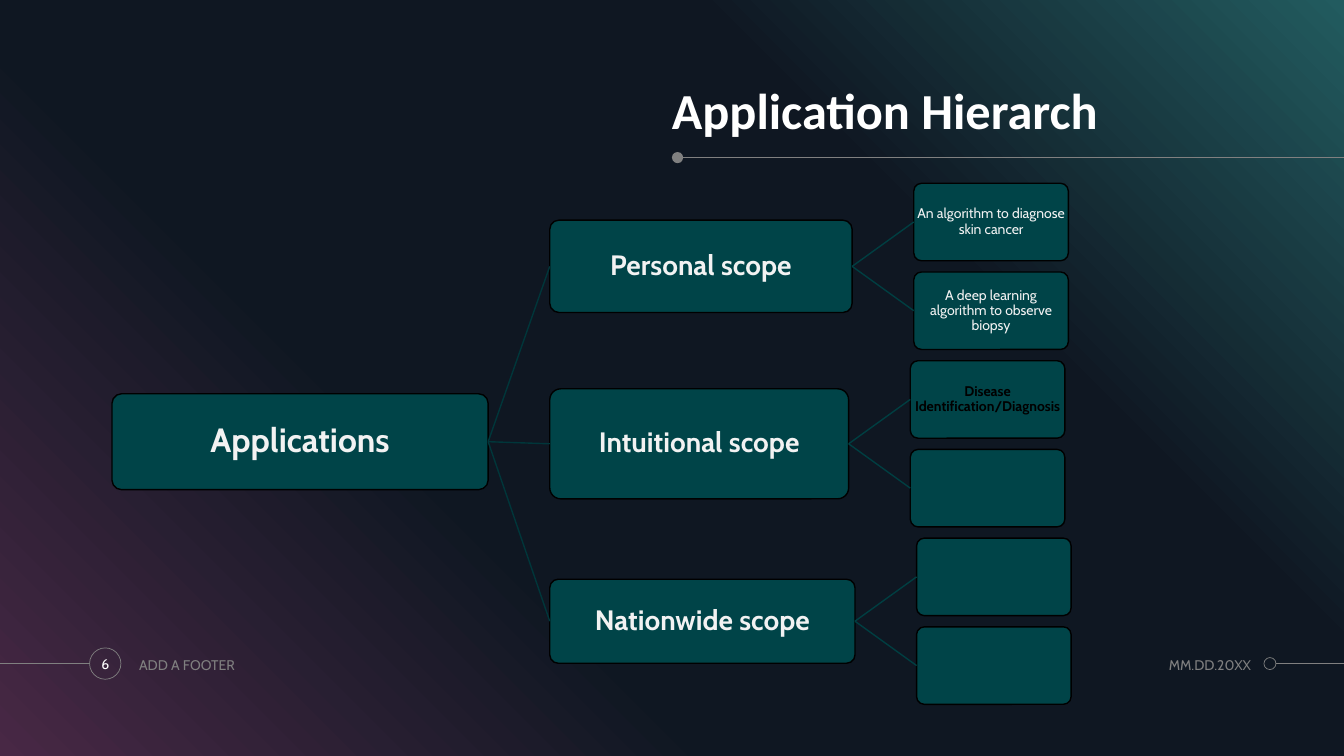
from copy import deepcopy
from dataclasses import dataclass

from pptx import Presentation
from pptx.dml.color import RGBColor
from pptx.enum import shapes, text
from pptx.oxml import parse_xml
from pptx.oxml.ns import nsdecls
from pptx.util import Pt

SLIDE_W, SLIDE_H = 960, 540
TITLE_ONLY = 5


@dataclass(frozen=True)
class Theme:
    heading_font: str = "Calibri"
    body_font: str = "Cabin"
    white: str = "FFFFFF"
    pale: str = "F2F2F2"
    grey: str = "808080"
    black: str = "000000"
    node: str = "004448"
    root_link: str = "00363A"
    leaf_link: str = "003E41"
    backdrop: tuple = ((0, "482845"), (0.34, "0F1722"), (0.69, "0F1722"), (1, "225B5F"))
    title_size: int = 36
    root_size: int = 24
    scope_size: int = 20
    small_size: int = 10


THEME = Theme()
ROOT = "Applications"
# Scope label, box width, box height, and (label, colour, bold) for each leaf
SCOPES = [
    ("Personal scope", 216, 66, [
        ("An algorithm to diagnose skin cancer", THEME.pale, False),
        ("A deep learning algorithm to observe biopsy", THEME.pale, False)]),
    ("Intuitional scope", 213.5, 78.6, [
        ("Disease Identification/Diagnosis", THEME.black, True),
        ("", THEME.pale, False)]),
    ("Nationwide scope", 218, 60, [("", THEME.pale, False), ("", THEME.pale, False)]),
]


def rgb(colour):
    return RGBColor.from_string(colour)


def write(frame, words, size, colour, bold=False, font=THEME.body_font,
          align=text.PP_ALIGN.CENTER, anchor=text.MSO_ANCHOR.MIDDLE, inset=0, spacing=1.0):
    """Put one formatted run into a text frame."""
    frame.word_wrap = True
    frame.vertical_anchor = anchor
    frame.margin_left = frame.margin_right = Pt(inset)
    frame.margin_top = frame.margin_bottom = Pt(inset)
    paragraph = frame.paragraphs[0]
    paragraph.alignment = align
    paragraph.line_spacing = spacing
    run = paragraph.add_run()
    run.text = words
    run.font.name = font
    run.font.size = Pt(size)
    run.font.bold = bold
    run.font.color.rgb = rgb(colour)


def add_box(slide, preset, box, fill=None, line=None, weight=1):
    shape = slide.shapes.add_shape(preset, *map(Pt, box))
    shape.shadow.inherit = False
    if fill:
        shape.fill.solid()
        shape.fill.fore_color.rgb = rgb(fill)
    else:
        shape.fill.background()
    if line:
        shape.line.color.rgb = rgb(line)
        shape.line.width = Pt(weight)
    else:
        shape.line.fill.background()
    return shape


def add_line(slide, colour, weight, start=(0, 0), end=(0, 0)):
    line = slide.shapes.add_connector(shapes.MSO_CONNECTOR.STRAIGHT, *map(Pt, start + end))
    line.line.color.rgb = rgb(colour)
    line.line.width = Pt(weight)
    line._element.spPr.append(parse_xml(f"<a:effectLst {nsdecls('a')}/>"))
    return line


def link(slide, parent, child, colour):
    """Join a parent's right side to a child's left side."""
    line = add_line(slide, colour, 1)
    line.begin_connect(parent, 3)
    line.end_connect(child, 1)


def add_backdrop(slide, box):
    backdrop = add_box(slide, shapes.MSO_SHAPE.RECTANGLE, box)
    backdrop.fill.gradient()
    backdrop.fill.gradient_angle = 45
    stop_list = backdrop._element.spPr.xpath(".//a:gsLst")[0]
    for _ in THEME.backdrop[2:]:
        stop_list.append(deepcopy(stop_list[0]))
    for stop, (position, colour) in zip(backdrop.fill.gradient_stops, THEME.backdrop):
        stop.position = position
        stop.color.rgb = rgb(colour)


def add_title(slide, box, words):
    """Fill the title and draw the dotted rule that runs to the slide edge."""
    left, top, width, height = box
    title = slide.shapes.title
    title.left, title.top, title.width, title.height = map(Pt, box)
    write(title.text_frame, words, THEME.title_size, THEME.white, True, THEME.heading_font,
          text.PP_ALIGN.LEFT, text.MSO_ANCHOR.BOTTOM, spacing=0.9)
    dot = 8
    rule_y = top + height + 12.6
    add_line(slide, THEME.grey, 0.5, (left, rule_y), (SLIDE_W, rule_y))
    add_box(slide, shapes.MSO_SHAPE.OVAL, (left, rule_y - dot / 2, dot, dot), THEME.grey)


def add_footer(slide, box, number, footer, date):
    left, top, width, height = box
    middle = top + height / 2
    badge, ring = 22.4, 8.6
    badge_x, ring_x = left + 64, left + 902.8
    for start, end in ((left, badge_x), (ring_x + ring, left + width)):
        add_line(slide, THEME.grey, 0.5, (start, middle), (end, middle))
    page = add_box(slide, shapes.MSO_SHAPE.OVAL,
                   (badge_x, middle - badge / 2, badge, badge), line=THEME.grey, weight=0.5)
    write(page.text_frame, number, THEME.small_size, THEME.white)
    add_box(slide, shapes.MSO_SHAPE.OVAL,
            (ring_x, middle - ring / 2, ring, ring), line=THEME.grey, weight=0.5)
    for words, x, label_width, align in (
            (footer, left + 99.4, 220, text.PP_ALIGN.LEFT),
            (date, left + 788.6, 105, text.PP_ALIGN.RIGHT)):
        label = slide.shapes.add_textbox(Pt(x), Pt(top + 0.8), Pt(label_width), Pt(height))
        write(label.text_frame, words, THEME.small_size, THEME.grey, align=align)


def add_node(slide, box, words, size, colour=THEME.pale, bold=True):
    node = add_box(slide, shapes.MSO_SHAPE.ROUNDED_RECTANGLE, box, THEME.node, THEME.black)
    node.adjustments[0] = 0.1
    if words:
        # The rounded corners already hold the words off the edge
        write(node.text_frame, words, size, colour, bold, inset=0.4, spacing=0.9)
    return node


def add_hierarchy(slide, box):
    """Draw root, scopes and leaves from left to right, two leaves to a scope."""
    left, top, width, height = box
    column_gap, leaf_gap = 44, 8
    root_w, root_h, leaf_w = 268.7, 68.5, 110.4
    leaf_count = sum(len(leaves) for *_, leaves in SCOPES)
    leaf_pitch = (height + leaf_gap) / leaf_count
    leaf_h = leaf_pitch - leaf_gap
    root_y = top + height / 2 - 1.5
    root = add_node(slide, (left, root_y - root_h / 2, root_w, root_h), ROOT, THEME.root_size)
    scope_x = left + root_w + column_gap
    leaf_y = top
    for words, scope_w, scope_h, leaves in SCOPES:
        scope_y = leaf_y + (len(leaves) * leaf_pitch - leaf_gap) / 2
        scope = add_node(slide, (scope_x, scope_y - scope_h / 2, scope_w, scope_h),
                         words, THEME.scope_size)
        link(slide, root, scope, THEME.root_link)
        leaf_x = scope_x + scope_w + column_gap
        for leaf_words, colour, bold in leaves:
            leaf = add_node(slide, (leaf_x, leaf_y, leaf_w, leaf_h),
                            leaf_words, THEME.small_size, colour, bold)
            link(slide, scope, leaf, THEME.leaf_link)
            leaf_y += leaf_pitch


def main():
    deck = Presentation()
    deck.slide_width, deck.slide_height = Pt(SLIDE_W), Pt(SLIDE_H)
    slide = deck.slides.add_slide(deck.slide_layouts[TITLE_ONLY])
    slide.background.fill.solid()
    slide.background.fill.fore_color.rgb = rgb(THEME.black)
    add_backdrop(slide, (0, 0, SLIDE_W, SLIDE_H))
    # The backdrop must lie behind the title placeholder
    slide.shapes._spTree.append(slide.shapes.title._element)
    add_title(slide, (480, 55.2, 418.4, 44.8), "Application Hierarch")
    add_footer(slide, (0, 462, SLIDE_W, 24), "6", "ADD A FOOTER", "MM.DD.20XX")
    add_hierarchy(slide, (80, 130.9, 685, 372.2))
    deck.save("out.pptx")


if __name__ == "__main__":
    main()
